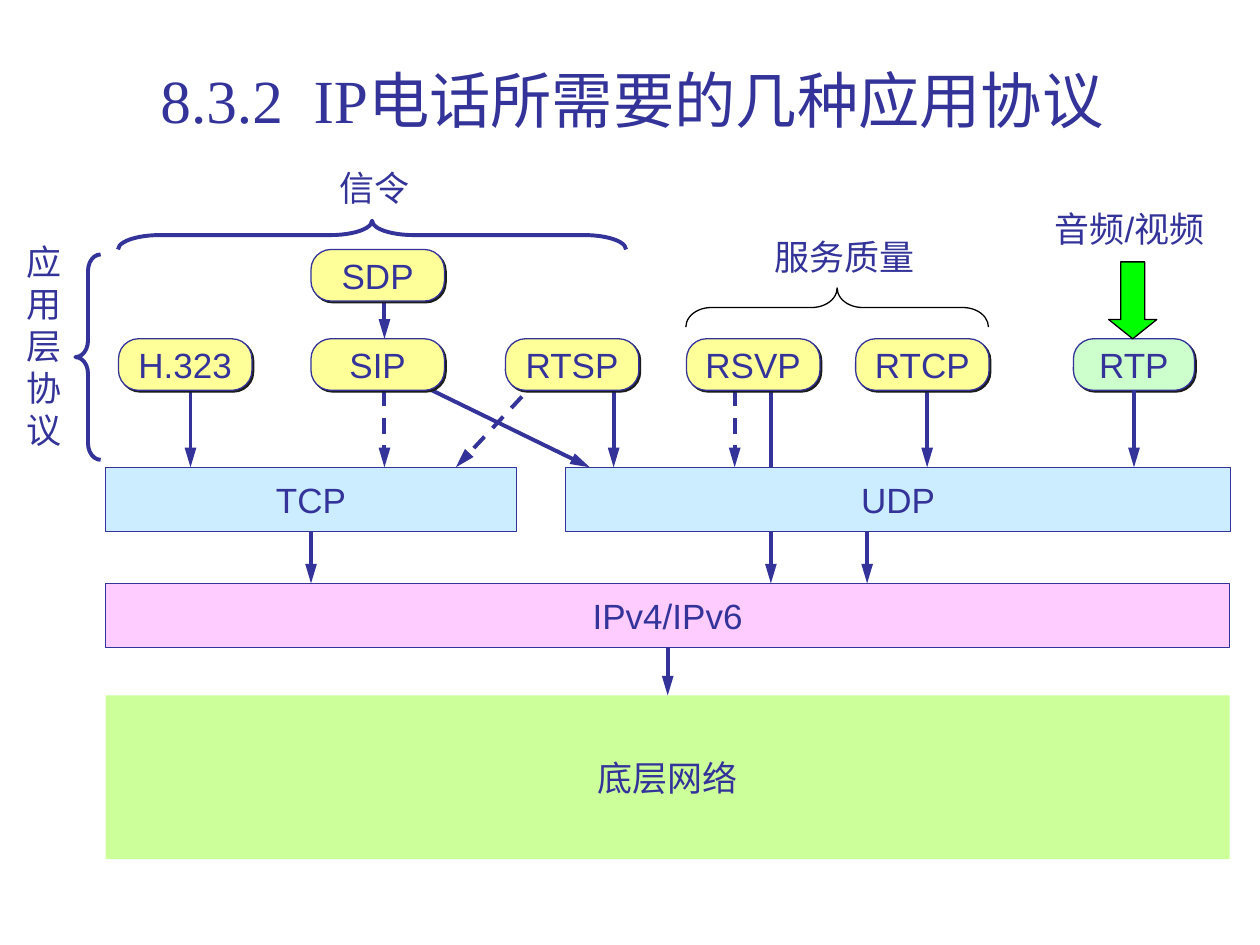
from lxml import etree
from pptx import Presentation
from pptx.dml.color import RGBColor
from pptx.enum.dml import MSO_LINE
from pptx.enum.shapes import MSO_CONNECTOR, MSO_SHAPE
from pptx.enum.text import MSO_ANCHOR, PP_ALIGN
from pptx.oxml import parse_xml
from pptx.oxml.ns import qn
from pptx.util import Cm, Pt

NAVY = RGBColor(0x33, 0x33, 0x99)
BLACK = RGBColor(0x00, 0x00, 0x00)
YELLOW = RGBColor(0xFF, 0xFF, 0x99)
MINT = RGBColor(0xCC, 0xFF, 0xCC)
SKY = RGBColor(0xCC, 0xEC, 0xFF)
PINK = RGBColor(0xFF, 0xCC, 0xFF)
LIME = RGBColor(0xCC, 0xFF, 0x99)
GREEN = RGBColor(0x00, 0xFF, 0x00)
RECT = MSO_SHAPE.RECTANGLE
ROUND = MSO_SHAPE.ROUNDED_RECTANGLE
BRACE = MSO_SHAPE.LEFT_BRACE
DOWN_ARROW = MSO_SHAPE.DOWN_ARROW
STRAIGHT = MSO_CONNECTOR.STRAIGHT
DASH = MSO_LINE.DASH
MIDDLE = MSO_ANCHOR.MIDDLE
BOTTOM = MSO_ANCHOR.BOTTOM
CENTER = PP_ALIGN.CENTER

SHADOW = (
    '<a:effectLst xmlns:a="http://schemas.openxmlformats.org/drawingml/2006/main">'
    '<a:outerShdw dist="17780" dir="2700000" algn="ctr" rotWithShape="0">'
    '<a:srgbClr val="1C1C1C"/></a:outerShdw></a:effectLst>'
)

# Levels of the protocol stack, in cm
SDP_TOP, APP_TOP, APP_H = 5.03, 6.83, 1.04
SDP_BOTTOM, APP_BOTTOM = SDP_TOP + APP_H, APP_TOP + APP_H
TRANSPORT_TOP, IP_TOP, LAYER_H = 9.42, 11.76, 1.3
TRANSPORT_BOTTOM = TRANSPORT_TOP + LAYER_H
NETWORK_TOP, NETWORK_H = 14.02, 3.3
STACK_LEFT, STACK_W = 2.13, 22.66

prs = Presentation()
prs.slide_width, prs.slide_height = Cm(25.4), Cm(19.05)
s = prs.slides.add_slide(prs.slide_layouts[6])


def add_arrow(x1, y1, x2, y2, dashed=False):
    c = s.shapes.add_connector(STRAIGHT, Cm(x1), Cm(y1), Cm(x2), Cm(y2))
    c.line.color.rgb = NAVY
    c.line.width = Pt(2.25)
    if dashed:
        c.line.dash_style = DASH
    ln = c.line._get_or_add_ln()
    etree.SubElement(ln, qn("a:tailEnd"), type="triangle", len="lg")
    etree.SubElement(c._element.spPr, qn("a:effectLst"))
    return c


def add_box(kind, text, x, y, w, h, fill):
    sp = s.shapes.add_shape(kind, Cm(x), Cm(y), Cm(w), Cm(h))
    sp.shadow.inherit = False
    sp.fill.solid()
    sp.fill.fore_color.rgb = fill
    sp.line.color.rgb = NAVY
    sp.line.width = Pt(0.75)
    tf = sp.text_frame
    tf.text = text
    tf.word_wrap = False
    tf.vertical_anchor = MIDDLE
    p = tf.paragraphs[0]
    p.alignment = CENTER
    p.font.size = Pt(20)
    p.font.name = "Arial"
    p.font.color.rgb = NAVY
    return sp


# Title
tb = s.shapes.add_textbox(Cm(1.33), Cm(0.73), Cm(22.83), Cm(2.13))
tf = tb.text_frame
tf.word_wrap = True
tf.vertical_anchor = BOTTOM
p = tf.paragraphs[0]
p.text = "8.3.2  IP电话所需要的几种应用协议"
p.alignment = CENTER
p.font.size = Pt(35)
p.font.name = "Times New Roman"
p.font.color.rgb = NAVY

# RSVP runs straight to IP, passing behind UDP
add_arrow(15.54, APP_BOTTOM, 15.54, IP_TOP)

# Lower layers
add_box(RECT, "TCP", STACK_LEFT, TRANSPORT_TOP, 8.28, LAYER_H, SKY)
add_box(RECT, "UDP", 11.4, TRANSPORT_TOP, 13.41, LAYER_H, SKY)
ip = add_box(RECT, "IPv4/IPv6", STACK_LEFT, IP_TOP, STACK_W, LAYER_H, PINK)
network = add_box(RECT, "底层网络", STACK_LEFT, NETWORK_TOP, STACK_W, NETWORK_H, LIME)
network.line.fill.background()

# Arrows between layers: x and y of the start, x and y of the end, dashed
for arrow in [
    (6.27, TRANSPORT_BOTTOM, 6.27, IP_TOP, False),
    (17.48, TRANSPORT_BOTTOM, 17.48, IP_TOP, False),
    (3.84, 7.59, 3.84, TRANSPORT_TOP, False),
    (7.75, APP_BOTTOM, 7.75, TRANSPORT_TOP, True),
    (10.9, 7.59, 9.19, TRANSPORT_TOP, True),
    (18.69, APP_BOTTOM, 18.69, TRANSPORT_TOP, False),
    (12.37, APP_BOTTOM, 12.37, TRANSPORT_TOP, False),
    (8.71, APP_BOTTOM, 11.89, TRANSPORT_TOP, False),
    (14.81, APP_BOTTOM, 14.81, TRANSPORT_TOP, True),
    (7.75, SDP_BOTTOM, 7.75, APP_TOP, False),
]:
    add_arrow(*arrow)
ip_arrow = add_arrow(13.46, IP_TOP + LAYER_H, 13.46, NETWORK_TOP)
ip_arrow.begin_connect(ip, 2)
ip_arrow.end_connect(network, 0)

# Application protocols
for name, x, y, w, fill in [
    ("RTSP", 10.19, APP_TOP, 2.69, YELLOW),
    ("RTCP", 17.25, APP_TOP, 2.69, YELLOW),
    ("RSVP", 13.84, APP_TOP, 2.69, YELLOW),
    ("H.323", 2.39, APP_TOP, 2.69, YELLOW),
    ("SIP", 6.27, APP_TOP, 2.69, YELLOW),
    ("SDP", 6.27, SDP_TOP, 2.69, YELLOW),
    ("RTP", 21.64, APP_TOP, 2.44, MINT),
]:
    sp = add_box(ROUND, name, x, y, w, APP_H, fill)
    sp.adjustments[0] = 0.39
    spPr = sp._element.spPr
    spPr.replace(spPr.find(qn("a:effectLst")), parse_xml(SHADOW))
    if name == "RTP":
        add_arrow(22.86, APP_BOTTOM, 22.86, TRANSPORT_TOP).begin_connect(sp, 2)

# Braces
for x, y, w, h, rotation, curve, color, width in [
    (16.48, 3.15, 0.79, 6.1, 90, 0.65, BLACK, 0.75),
    (7.21, -0.38, 0.58, 10.24, 90, 1.45, NAVY, 2.25),
    (1.52, 5.13, 0.51, 4.14, 0, 0.65, NAVY, 2.25),
]:
    brace = s.shapes.add_shape(BRACE, Cm(x), Cm(y), Cm(w), Cm(h))
    brace.rotation = rotation
    brace.adjustments[0] = curve
    brace.shadow.inherit = False
    brace.fill.background()
    brace.line.color.rgb = color
    brace.line.width = Pt(width)

# Media arrow into RTP
media = s.shapes.add_shape(DOWN_ARROW, Cm(22.35), Cm(5.28), Cm(0.97), Cm(1.55))
media.adjustments[1] = 0.4
media.shadow.inherit = False
media.fill.solid()
media.fill.fore_color.rgb = GREEN
media.line.color.rgb = BLACK
media.line.width = Pt(0.75)

# Group labels, each wide enough for its longest line
for text, x, y, w, h in [
    ("信令", 6.6, 3.23, 2.1, 1.12),
    ("服务质量", 15.37, 4.62, 3.5, 1.12),
    ("应\n用\n层\n协\n议", 0.28, 4.72, 1.24, 4.5),
    ("音频/视频", 21.01, 4.06, 4.1, 1.12),
]:
    tb = s.shapes.add_textbox(Cm(x), Cm(y), Cm(w), Cm(h))
    tf = tb.text_frame
    tf.text = text
    tf.word_wrap = True
    for p in tf.paragraphs:
        p.font.size = Pt(20)
        p.font.name = "Arial"
        p.font.color.rgb = NAVY

prs.save("out.pptx")
